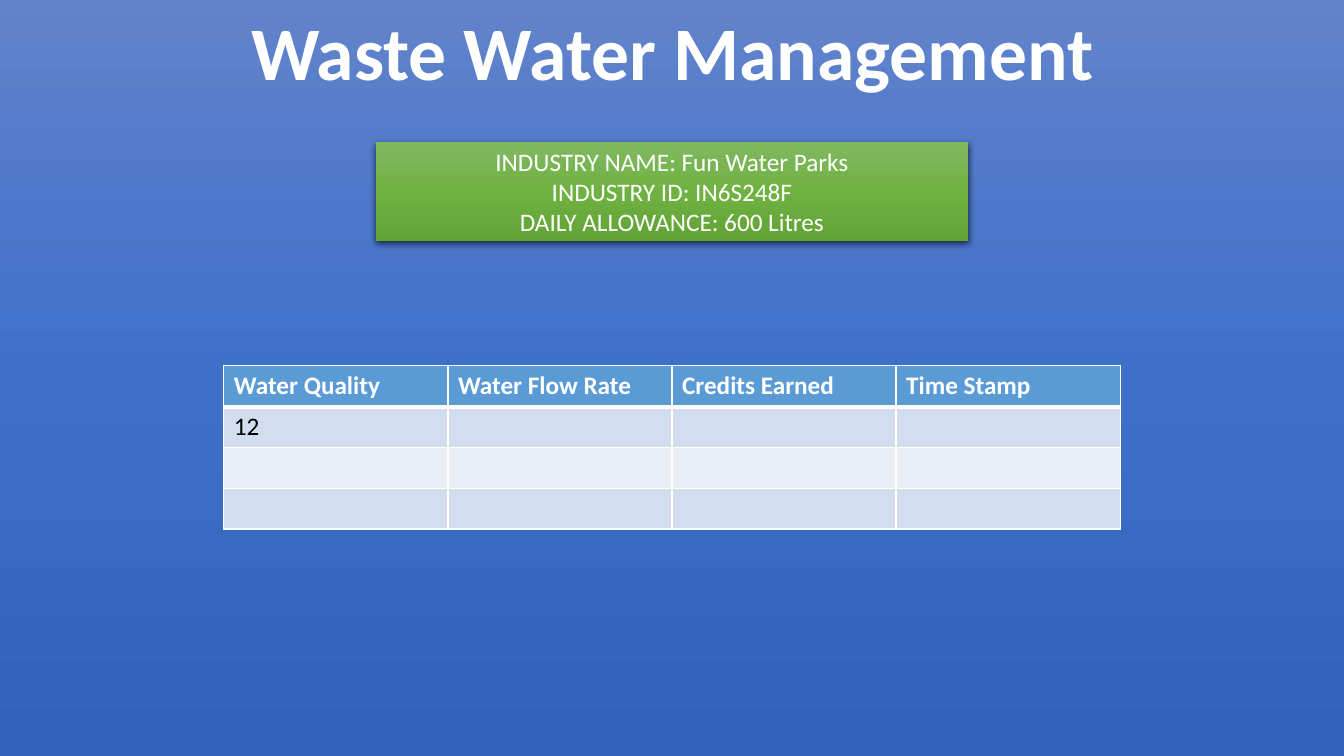
from copy import deepcopy
from dataclasses import dataclass

from lxml import etree
from pptx import Presentation, util as u
from pptx.dml.color import RGBColor
from pptx.enum import shapes, text
from pptx.oxml.ns import qn


@dataclass(frozen=True)
class Theme:
    font: str = "Calibri"
    title: int = 54
    body: int = 18
    white: str = "FFFFFF"
    black: str = "000000"
    head: str = "5B9BD5"
    bands: tuple = ("D2DEEF", "EAEFF7")
    blues: tuple = ("6183CB", "3E70CA", "3062BB")
    greens: tuple = ("81B861", "6FB242", "62A336")


THEME = Theme()
HEADS = ["Water Quality", "Water Flow Rate", "Credits Earned", "Time Stamp"]
ROWS = [HEADS, ["12", "", "", ""], [""] * 4, [""] * 4]
FACTS = [
    "INDUSTRY NAME: Fun Water Parks",
    "INDUSTRY ID: IN6S248F",
    "DAILY ALLOWANCE: 600 Litres",
]


def write(frame, lines, size=THEME.body, color=THEME.white, bold=False,
          align=text.PP_ALIGN.CENTER):
    """Fill a text frame with one paragraph per line."""
    for i, line in enumerate(lines):
        para = frame.paragraphs[0] if i == 0 else frame.add_paragraph()
        para.alignment = align
        para.font.size = u.Pt(size)
        run = para.add_run()
        run.text = line
        font = run.font
        font.name, font.size, font.bold = THEME.font, u.Pt(size), bold
        font.color.rgb = RGBColor.from_string(color)


def panel(slide, box, colors):
    """Add a rectangle shaded from top to bottom in three colours."""
    rect = slide.shapes.add_shape(shapes.MSO_SHAPE.RECTANGLE, *map(u.Inches, box))
    rect.shadow.inherit = False
    rect.line.fill.background()
    rect.fill.gradient()
    rect.fill.gradient_angle = 270
    first = next(rect._element.spPr.iter(qn("a:gs")))
    first.addnext(deepcopy(first))
    for i, (stop, color) in enumerate(zip(rect.fill.gradient_stops, colors)):
        stop.position = i / 2
        stop.color.rgb = RGBColor.from_string(color)
    return rect


def shade(shape):
    """Cast a soft shadow straight down."""
    effects = shape._element.spPr.find(qn("a:effectLst"))
    outer = etree.SubElement(
        effects, qn("a:outerShdw"), blurRad=str(u.Pt(4.5)), dist=str(u.Pt(1.5)),
        dir="5400000", algn="ctr", rotWithShape="0")
    color = etree.SubElement(outer, qn("a:srgbClr"), val=THEME.black)
    etree.SubElement(color, qn("a:alpha"), val="63000")


def title(slide, box):
    frame = slide.shapes.add_textbox(*map(u.Inches, box)).text_frame
    frame.word_wrap = False
    frame.auto_size = text.MSO_AUTO_SIZE.SHAPE_TO_FIT_TEXT
    write(frame, ["Waste Water Management"], size=THEME.title, bold=True)


def facts(slide, box):
    rect = panel(slide, box, THEME.greens)
    shade(rect)
    rect.text_frame.vertical_anchor = text.MSO_ANCHOR.MIDDLE
    write(rect.text_frame, FACTS)


def border(cell, **widths):
    """Draw white cell edges, given as side=points in the order L, R, T, B."""
    props = cell._tc.get_or_add_tcPr()
    for side, width in widths.items():
        line = etree.SubElement(props, qn("a:ln" + side), w=str(u.Pt(width)))
        fill = etree.SubElement(line, qn("a:solidFill"))
        etree.SubElement(fill, qn("a:srgbClr"), val=THEME.white)


def table(slide, box):
    grid = slide.shapes.add_table(len(ROWS), len(HEADS), *map(u.Inches, box)).table
    for r, row in enumerate(ROWS):
        head = r == 0
        back = THEME.head if head else THEME.bands[(r - 1) % 2]
        for c, label in enumerate(row):
            cell = grid.cell(r, c)
            border(cell, L=1, R=1, T=3 if r == 1 else 1, B=3 if head else 1)
            cell.fill.solid()
            cell.fill.fore_color.rgb = RGBColor.from_string(back)
            if label:
                write(cell.text_frame, [label], bold=head,
                      color=THEME.white if head else THEME.black,
                      align=text.PP_ALIGN.LEFT)


def main():
    deck = Presentation()
    deck.slide_width, deck.slide_height = u.Inches(13.33), u.Inches(7.5)
    slide = deck.slides.add_slide(deck.slide_layouts[6])
    panel(slide, (0, 0, 13.33, 7.5), THEME.blues)
    title(slide, (2.35, 0, 8.64, 1.01))
    facts(slide, (3.73, 1.41, 5.87, 0.98))
    table(slide, (2.22, 3.63, 8.89, 1.62))
    deck.save("out.pptx")


if __name__ == "__main__":
    main()
